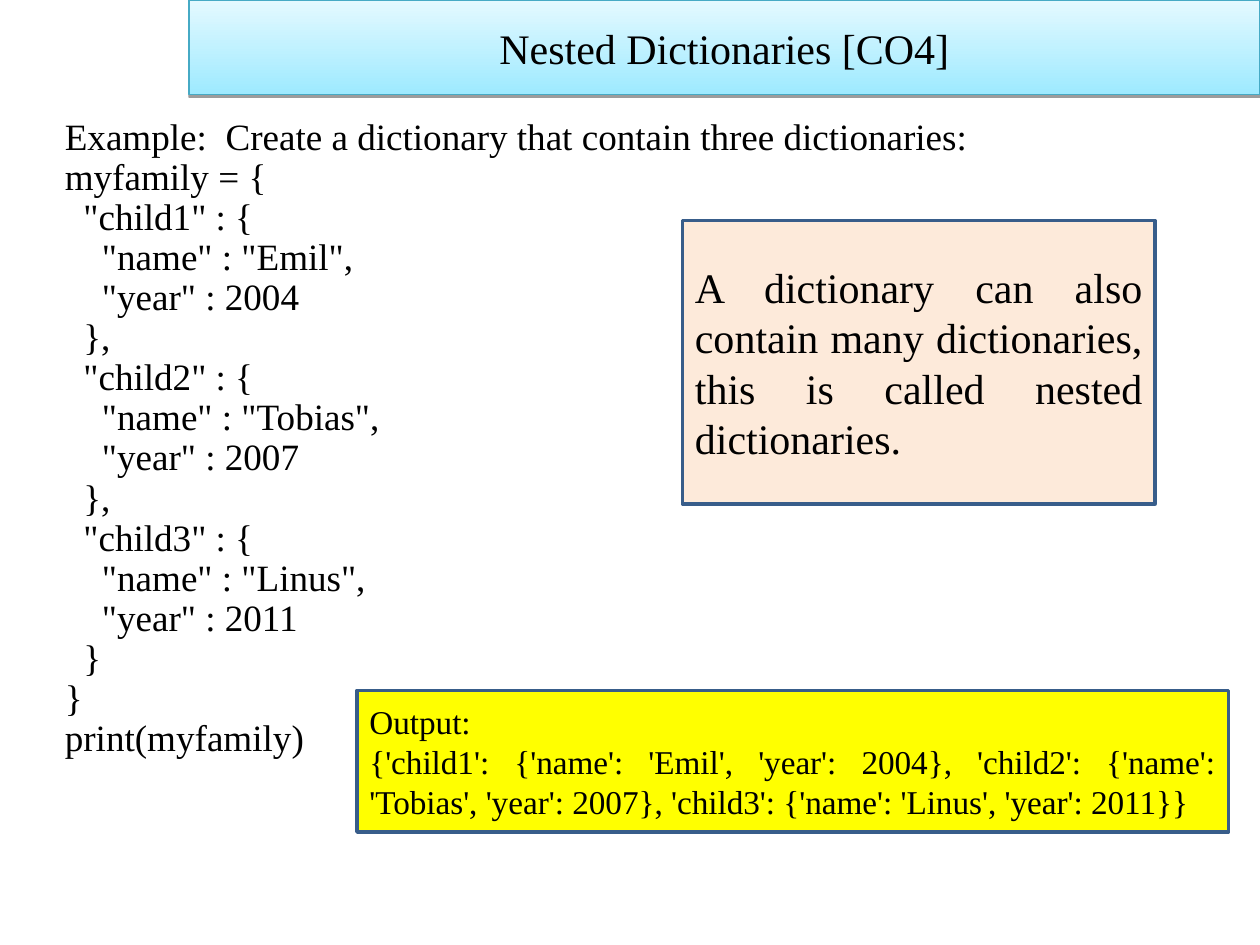
import dataclasses

import pptx
import pptx.dml.color
import pptx.enum.shapes
import pptx.enum.text
import pptx.oxml
import pptx.oxml.ns
import pptx.util

Pt = pptx.util.Pt
Align = pptx.enum.text.PP_ALIGN
Anchor = pptx.enum.text.MSO_ANCHOR

PROGRAM = """Example:  Create a dictionary that contain three dictionaries:
myfamily = {
  "child1" : {
    "name" : "Emil",
    "year" : 2004
  },
  "child2" : {
    "name" : "Tobias",
    "year" : 2007
  },
  "child3" : {
    "name" : "Linus",
    "year" : 2011
  }
}
print(myfamily)"""
RESULT = """Output:
{'child1': {'name': 'Emil', 'year': 2004}, 'child2': {'name': 'Tobias', 'year': 2007}, 'child3': {'name': 'Linus', 'year': 2011}}"""
NOTE = "A dictionary can also contain many dictionaries, this is called nested dictionaries."


@dataclasses.dataclass(frozen=True)
class Theme:
    font: str = "Times New Roman"
    ink: str = "000000"
    banner_low: str = "9EEAFF"
    banner_high: str = "E4F9FF"
    banner_edge: str = "46AAC5"
    box_edge: str = "385D8A"
    output_fill: str = "FFFF00"
    note_fill: str = "FDEADA"
    heading_size: float = 24
    code_size: float = 21.2
    output_size: float = 19


def rgb(value):
    return pptx.dml.color.RGBColor.from_string(value)


def apply(target, values):
    for name, value in values.items():
        setattr(target, name, value)


class SlideBuilder:
    """Draws styled elements on the current slide."""

    def __init__(self, slide, theme):
        self.slide = slide
        self.theme = theme

    def set_text(self, frame, text, size, anchor=Anchor.MIDDLE, **layout):
        apply(frame, {"word_wrap": True, "vertical_anchor": anchor})
        for index, line in enumerate(text.split("\n")):
            paragraph = frame.add_paragraph() if index else frame.paragraphs[0]
            apply(paragraph, {"alignment": Align.JUSTIFY, **layout})
            run = paragraph.add_run()
            run.text = line
            apply(run.font, {"name": self.theme.font, "size": Pt(size)})
            run.font.color.rgb = rgb(self.theme.ink)

    def code(self, bounds, text):
        listing = self.slide.shapes.add_textbox(*map(Pt, bounds))
        self.set_text(listing.text_frame, text, self.theme.code_size, Anchor.TOP, line_spacing=0.9)

    def panel(self, bounds, edge, weight):
        rectangle = pptx.enum.shapes.MSO_SHAPE.RECTANGLE
        panel = self.slide.shapes.add_shape(rectangle, *map(Pt, bounds))
        panel.shadow.inherit = False
        panel.line.color.rgb = rgb(edge)
        panel.line.width = Pt(weight)
        return panel

    def box(self, bounds, text, fill, size):
        box = self.panel(bounds, self.theme.box_edge, 2)
        box.fill.solid()
        box.fill.fore_color.rgb = rgb(fill)
        self.set_text(box.text_frame, text, size)

    def banner(self, bounds, text):
        banner = self.panel(bounds, self.theme.banner_edge, 0.75)
        banner.fill.gradient()
        banner.fill.gradient_angle = 90
        shades = (self.theme.banner_low, self.theme.banner_high)
        for position, (stop, shade) in enumerate(zip(banner.fill.gradient_stops, shades)):
            stop.position = position
            stop.color.rgb = rgb(shade)
        effects = banner.element.spPr.find(pptx.oxml.ns.qn("a:effectLst"))
        effects.append(pptx.oxml.parse_xml(
            f'<a:outerShdw {pptx.oxml.ns.nsdecls("a")} blurRad="0" dist="{Pt(1.6)}" '
            'dir="5400000" rotWithShape="0"><a:srgbClr val="000000">'
            '<a:alpha val="38000"/></a:srgbClr></a:outerShdw>'))
        self.set_text(banner.text_frame, text, self.theme.heading_size, alignment=Align.CENTER)


def main():
    deck = pptx.Presentation()
    apply(deck, {"slide_width": Pt(720), "slide_height": Pt(540)})
    theme = Theme()
    builder = SlideBuilder(deck.slides.add_slide(deck.slide_layouts[6]), theme)
    builder.code((30, 64, 654, 425.5), PROGRAM)
    builder.banner((108, 0, 612, 54), "Nested Dictionaries [CO4]")
    builder.box((204, 394.5, 498, 81), RESULT, theme.output_fill, theme.output_size)
    builder.box((390, 126, 270, 162), NOTE, theme.note_fill, theme.heading_size)
    deck.save("out.pptx")


if __name__ == "__main__":
    main()
